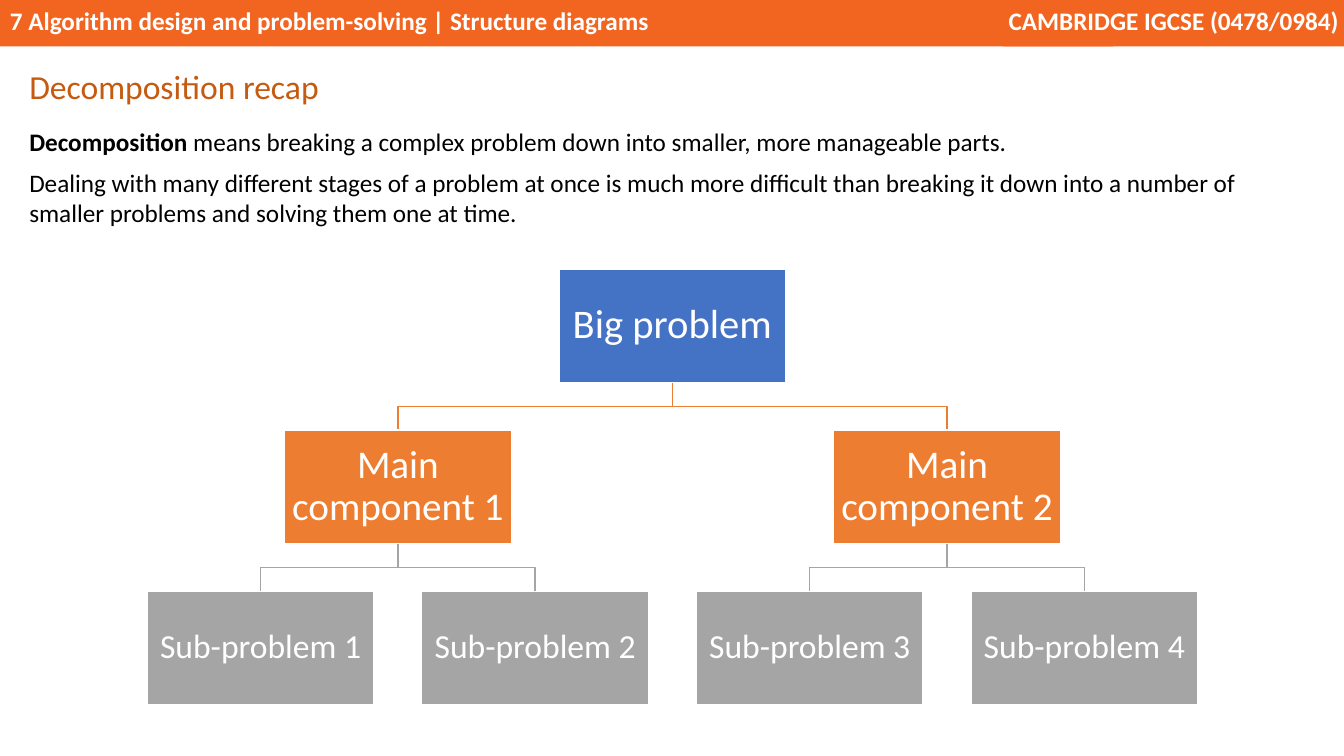
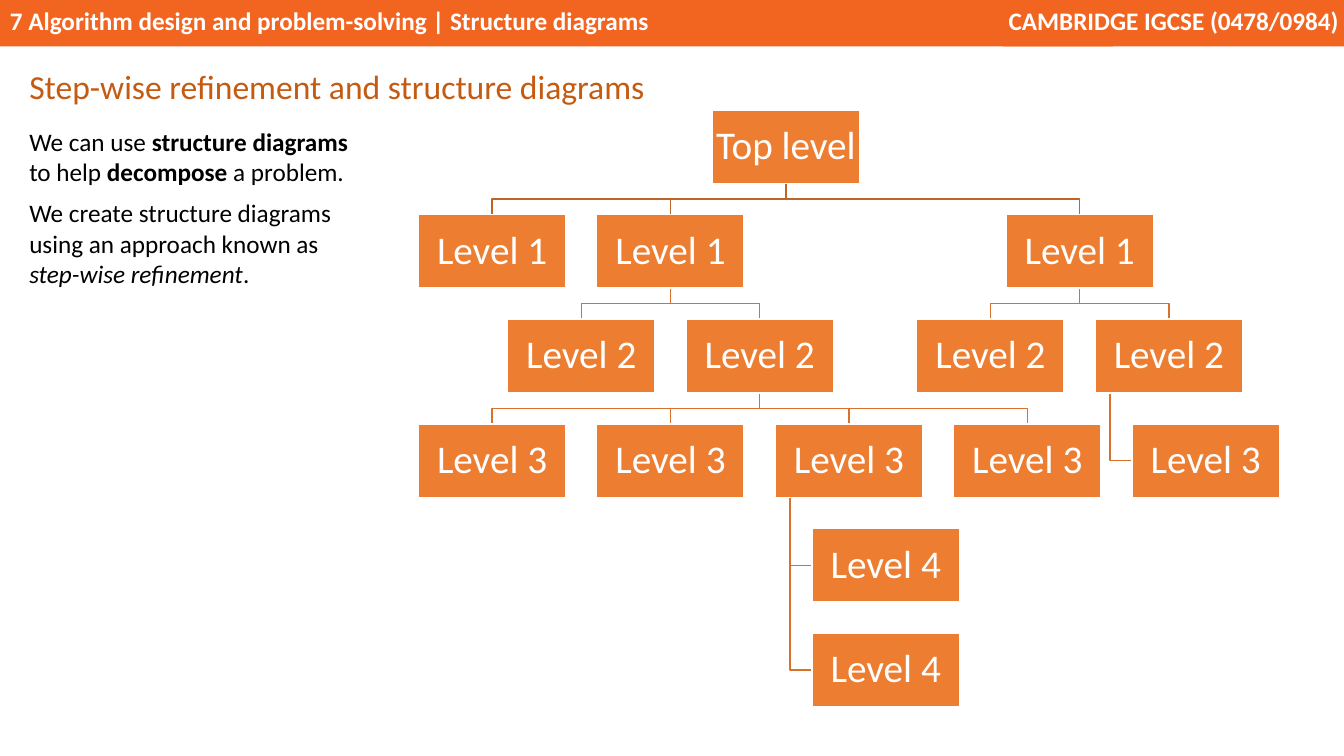
from dataclasses import dataclass

from pptx import Presentation
from pptx.dml.color import RGBColor
from pptx.enum.shapes import MSO_SHAPE
from pptx.enum.text import MSO_ANCHOR, MSO_AUTO_SIZE, PP_ALIGN
from pptx.oxml.ns import qn
from pptx.util import Inches, Pt

RECTANGLE = MSO_SHAPE.RECTANGLE
TOP, MIDDLE = MSO_ANCHOR.TOP, MSO_ANCHOR.MIDDLE
LEFT, CENTER, RIGHT = PP_ALIGN.LEFT, PP_ALIGN.CENTER, PP_ALIGN.RIGHT
NO_FIT = MSO_AUTO_SIZE.NONE

SLIDE_WIDTH, SLIDE_HEIGHT = 13.33, 7.5
FONT = "Calibri"
BAND, HEADING, BLACK, WHITE = "F26521", "C55A11", "000000", "FFFFFF"
BLUE, ORANGE, GREY = "4472C4", "ED7D31", "A5A5A5"
DARK_LINE, MID_LINE = "BE6427", "D7712C"
BODY_LEFT, BODY_TOP = 0.19, 1.2

# Tree proportions, as shares of a box's width
BOX_HEIGHT = 0.5
COLUMN_STEP = 1.21
ROW_STEP = 0.71
HANG_INDENT = 0.25
SPINE_INDENT = 0.1


@dataclass
class Node:
    """A box of a tree; without a column it is centred over its children."""
    text: str
    children: tuple = ()
    column: float = None
    hanging: bool = False  # children are stacked below a spine

    def place(self):
        if self.column is None:
            self.column = (self.children[0].place() + self.children[-1].place()) / 2
        return self.column


@dataclass
class Level:
    fill: str
    size: float
    line: str = ORANGE


def rgb(color):
    return RGBColor.from_string(color)


def set_font(font, size, color, bold=None):
    font.name, font.size, font.bold = FONT, Pt(size), bold
    font.color.rgb = rgb(color)


def place(shape, left, top, width, height):
    shape.left, shape.top = Inches(left), Inches(top)
    shape.width, shape.height = Inches(width), Inches(height)


def add_box(slide, left, top, width, height, fill, text, size):
    box = slide.shapes.add_shape(RECTANGLE, *map(Inches, (left, top, width, height)))
    box.shadow.inherit = False
    box.fill.solid()
    box.fill.fore_color.rgb = rgb(fill)
    box.line.fill.background()
    box.text_frame.word_wrap = True
    paragraph = box.text_frame.paragraphs[0]
    paragraph.text = text
    set_font(paragraph.font, size, WHITE)
    return box


def add_bent_line(slide, points, color):
    start, *rest = [(Inches(x), Inches(y)) for x, y in points]
    builder = slide.shapes.build_freeform(*start)
    builder.add_line_segments(rest, close=False)
    line = builder.convert_to_shape()
    line.shadow.inherit = False
    line.fill.background()
    line.line.color.rgb = rgb(color)
    line.line.width = Pt(1)


def build_layout(layout, slide):
    """Put the header bands and the placeholder positions on the layout."""
    bands = (
        ("7 Algorithm design and problem-solving | Structure diagrams", 0, 11.04, 0.1, 0.1, LEFT),
        ("CAMBRIDGE IGCSE (0478/0984)", 9.95, 3.38, 0, 0.05, RIGHT),
    )
    for text, left, width, inset_left, inset_right, align in bands:
        band = add_box(slide, left, 0, width, 0.46, BAND, text, 18)
        frame = band.text_frame
        frame.vertical_anchor = TOP
        frame.margin_left, frame.margin_right = Inches(inset_left), Inches(inset_right)
        frame.paragraphs[0].alignment = align
        frame.paragraphs[0].font.bold = True
        layout.shapes.element.append(band.element)
    place(layout.placeholders[0], BODY_LEFT, 0.58, 7.09, 0.51)
    place(layout.placeholders[1], BODY_LEFT, BODY_TOP, 12.87, 1.54)


def write_title(slide, text):
    frame = slide.shapes.title.text_frame
    frame.vertical_anchor, frame.auto_size = TOP, NO_FIT
    heading = frame.paragraphs[0]
    heading.text = text
    heading.alignment = LEFT
    heading.line_spacing = 1.07
    set_font(heading.font, 24, HEADING)


def write_body(slide, paragraphs):
    """Each paragraph is a list of (text, style), style being '', 'b' or 'i'."""
    frame = slide.placeholders[1].text_frame
    frame.auto_size = NO_FIT
    for index, runs in enumerate(paragraphs):
        paragraph = frame.add_paragraph() if index else frame.paragraphs[0]
        properties = paragraph._p.get_or_add_pPr()
        properties.set("marL", "0")
        properties.set("indent", "0")
        properties.append(properties.makeelement(qn("a:buNone"), {}))
        paragraph.space_before, paragraph.space_after = Pt(0), Pt(8)
        set_font(paragraph.font, 18, BLACK)
        for text, style in runs:
            run = paragraph.add_run()
            run.text = text
            if style:
                run.font.bold, run.font.italic = style == "b", style == "i"


def draw_tree(slide, root, columns, levels, left, top, width):
    """Draw a tree whose columns fill the given width."""
    box_width = width / ((columns - 1) * COLUMN_STEP + 1)
    box_height = box_width * BOX_HEIGHT
    row_step = box_width * ROW_STEP
    root.place()

    def column_x(node):
        return left + node.place() * COLUMN_STEP * box_width

    def draw_node(node, x, y, depth):
        """Draw the links to the children, the box over them, then the children."""
        level = levels[depth]
        bottom = y + box_height
        places = []
        for step, child in enumerate(node.children, 1):
            if node.hanging:
                child_x, child_y = x + HANG_INDENT * box_width, y + step * row_step
                spine, middle = x + SPINE_INDENT * box_width, child_y + box_height / 2
                points = [(spine, bottom), (spine, middle), (child_x, middle)]
            else:
                child_x, child_y = column_x(child), y + row_step
                start, end = x + box_width / 2, child_x + box_width / 2
                bend = (bottom + child_y) / 2
                points = [(start, bottom), (start, bend), (end, bend), (end, child_y)]
            add_bent_line(slide, points, level.line)
            places.append((child, child_x, child_y))
        draw_box(node.text, level, x, y)
        for child, child_x, child_y in places:
            draw_node(child, child_x, child_y, depth + 1)

    def draw_box(text, level, x, y):
        box = add_box(slide, x, y, box_width, box_height, level.fill, text, level.size)
        box.line.color.rgb = rgb(WHITE)
        box.line.width = Pt(1)
        frame = box.text_frame
        frame.vertical_anchor = MIDDLE
        frame.margin_left = frame.margin_right = Inches(0.02)
        frame.margin_top = frame.margin_bottom = Inches(0.02)
        frame.paragraphs[0].alignment = CENTER
        frame.paragraphs[0].line_spacing = 0.9

    draw_node(root, column_x(root), top, 0)


def build_recap(slide):
    write_title(slide, "Decomposition recap")
    write_body(slide, [
        [("Decomposition", "b"),
         (" means breaking a complex problem down into smaller, more manageable parts.", "")],
        [("Dealing with many different stages of a problem at once is much more difficult than "
          "breaking it down into a number of smaller problems and solving them one at time.", "")],
    ])
    components = tuple(
        Node(f"Main component {part + 1}", tuple(
            Node(f"Sub-problem {column + 1}", column=column)
            for column in (2 * part, 2 * part + 1)))
        for part in range(2))
    levels = [Level(BLUE, 29, ORANGE), Level(ORANGE, 28, GREY), Level(GREY, 24)]
    draw_tree(slide, Node("Big problem", components), 4, levels, 1.46, 2.67, 10.42)


def build_refinement(slide):
    write_title(slide, "Step-wise refinement and structure diagrams")
    place(slide.placeholders[1], BODY_LEFT, BODY_TOP, 3.55, 2.14)
    write_body(slide, [
        [("We can use ", ""), ("structure diagrams ", "b"), ("to help ", ""),
         ("decompose", "b"), (" a problem.", "")],
        [("We create structure diagrams using an approach known as ", ""),
         ("step-wise refinement", "i"), (".", "")],
    ])
    third_level = [Node("Level 3", column=column) for column in range(4)]
    third_level[2].children = (Node("Level 4"), Node("Level 4"))
    third_level[2].hanging = True
    last_column = 4 - HANG_INDENT / COLUMN_STEP
    root = Node("Top level", (
        Node("Level 1", column=0),
        Node("Level 1", (Node("Level 2", column=0.5), Node("Level 2", tuple(third_level)))),
        Node("Level 1", (
            Node("Level 2", column=last_column - 1),
            Node("Level 2", (Node("Level 3"),), last_column, hanging=True))),
    ))
    levels = [Level(ORANGE, 28, DARK_LINE)] + [Level(ORANGE, 28, MID_LINE)] * 4
    draw_tree(slide, root, 5, levels, 4.15, 1.09, 8.54)


def main():
    deck = Presentation()
    deck.slide_width, deck.slide_height = Inches(SLIDE_WIDTH), Inches(SLIDE_HEIGHT)
    layout = deck.slide_layouts[1]
    recap, refinement = (deck.slides.add_slide(layout) for _ in range(2))
    build_layout(layout, recap)
    build_recap(recap)
    build_refinement(refinement)
    deck.save("out.pptx")


if __name__ == "__main__":
    main()
